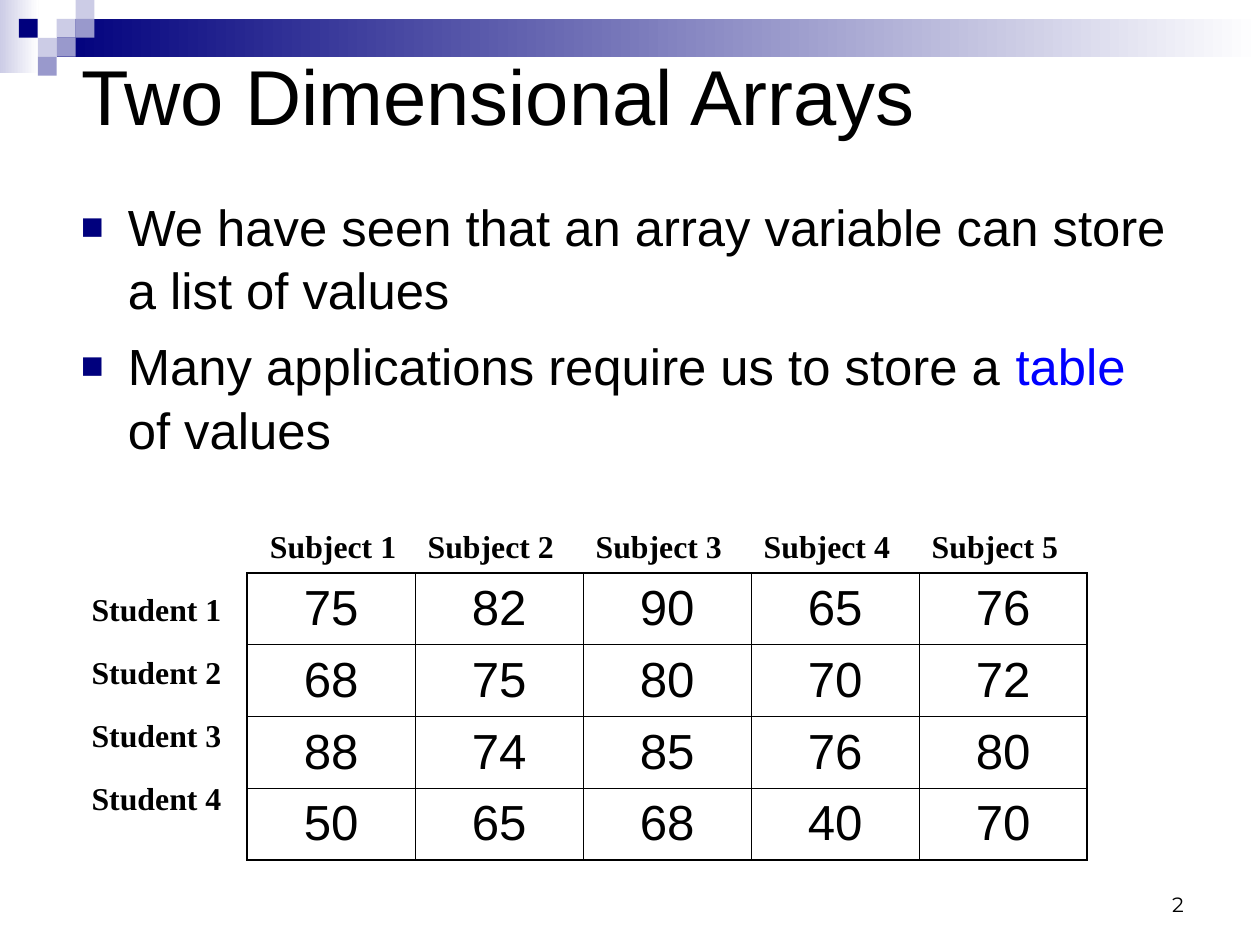
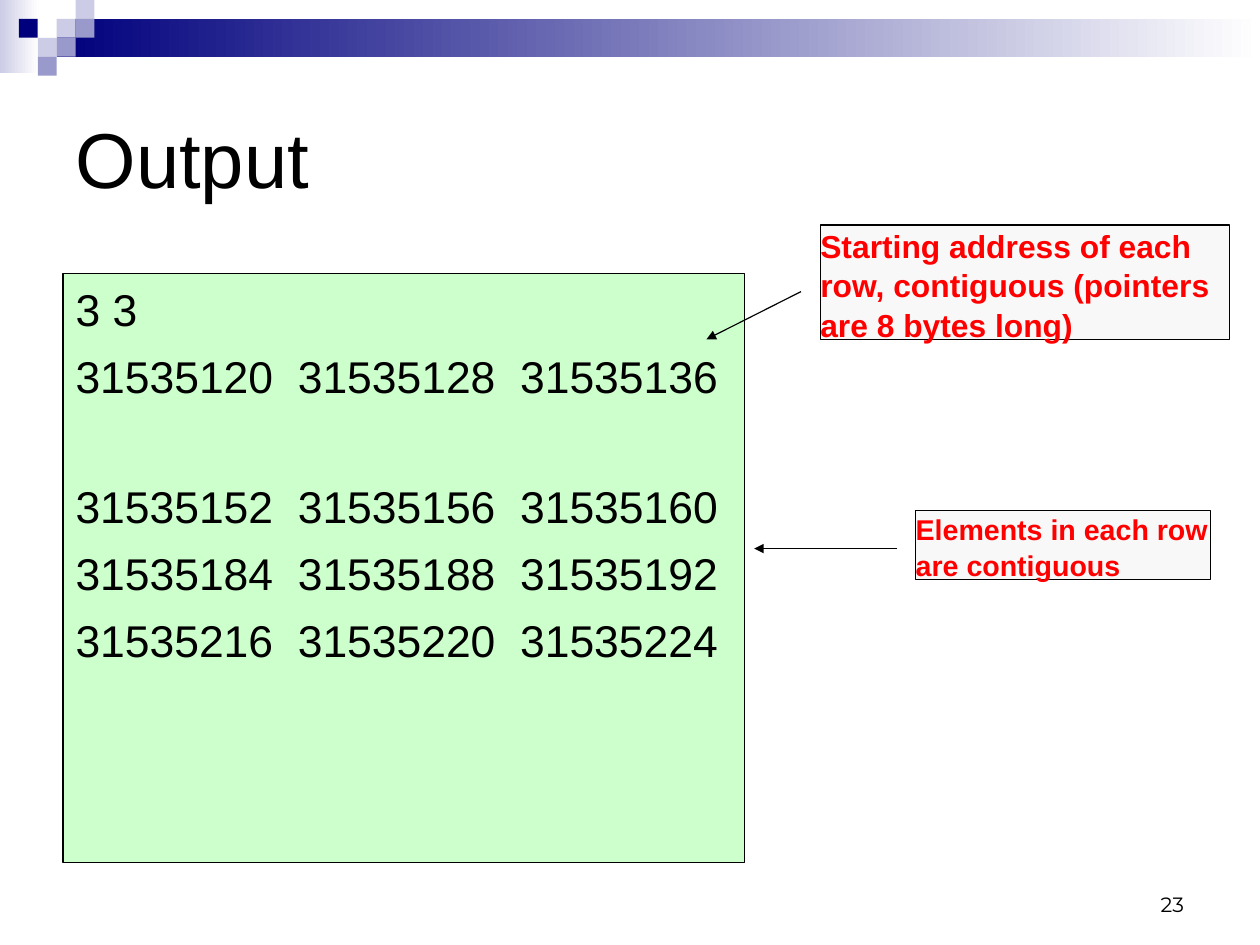
from dataclasses import dataclass

from lxml import etree
from pptx import Presentation
from pptx import util as u
from pptx.dml.color import RGBColor
from pptx.enum import shapes, text
from pptx.oxml import ns

Cm, Pt = u.Cm, u.Pt


@dataclass(frozen=True)
class Theme:
    """Colours, fonts, sizes and insets shared by the slides."""
    navy: str = "00007D"
    violet: str = "9999CC"
    lilac: str = "CCCCE6"
    white: str = "FFFFFF"
    black: str = "000000"
    blue: str = "0000FF"
    red: str = "FF0000"
    green: str = "CCFFCC"
    grey: str = "F8F8F8"
    sans: str = "Arial"
    serif: str = "Times New Roman"
    number: str = "Montserrat"
    title_size: float = 49
    body_size: float = 32
    cell_size: float = 31
    output_size: float = 28
    label_size: float = 20
    note_size: float = 18
    number_size: float = 13
    leading: float = 1.04
    line: float = 0.75
    outer_border: float = 1.08
    inner_border: float = 0.45
    inset: tuple = (0.28, 0.15)


THEME = Theme()


def rgb(colour):
    """Turn a hex string into a colour."""
    return RGBColor.from_string(colour)


def add_xml(parent, tag, **attributes):
    """Append a drawing element to its parent."""
    return etree.SubElement(parent, ns.qn(tag), attributes)


def place(item, box):
    """Move a shape to a box given in centimetres."""
    item.left, item.top, item.width, item.height = map(Cm, box)


def set_frame(frame, inset=THEME.inset, anchor=text.MSO_ANCHOR.TOP):
    """Set wrapping, insets and anchor of a text frame."""
    frame.word_wrap = True
    frame.auto_size = text.MSO_AUTO_SIZE.NONE
    frame.vertical_anchor = anchor
    frame.margin_left = frame.margin_right = Cm(inset[0])
    frame.margin_top = frame.margin_bottom = Cm(inset[1])


def add_span(para, words, size, colour=THEME.black, font=THEME.sans, bold=False):
    """Add one formatted run."""
    span = para.add_run()
    span.text = words
    span.font.size = Pt(size)
    span.font.name = font
    span.font.bold = bold
    span.font.color.rgb = rgb(colour)


def add_text(page, box, words, size, font, bold=False, align=text.PP_ALIGN.LEFT,
             anchor=text.MSO_ANCHOR.TOP):
    """Add a text box holding one line."""
    frame = page.shapes.add_textbox(*map(Cm, box)).text_frame
    set_frame(frame, anchor=anchor)
    para = frame.paragraphs[0]
    para.alignment = align
    add_span(para, words, size, font=font, bold=bold)


def add_rectangle(page, box, colour, fade=None, outlined=False):
    """Add a plain or fading rectangle."""
    shape = page.shapes.add_shape(shapes.MSO_SHAPE.RECTANGLE, *map(Cm, box))
    shape.shadow.inherit = False
    if fade:
        shape.fill.gradient()
        shape.fill.gradient_angle = 0
        for stop, shade in zip(shape.fill.gradient_stops, (colour, fade)):
            stop.color.rgb = rgb(shade)
    else:
        shape.fill.solid()
        shape.fill.fore_color.rgb = rgb(colour)
    if outlined:
        shape.line.color.rgb = rgb(THEME.black)
        shape.line.width = Pt(THEME.line)
    else:
        shape.line.fill.background()
    return shape


def decorate_layout(layout, page, unit=0.42):
    """Draw the header band and squares, then hand them to the layout."""
    squares = [(3, 1, THEME.lilac), (4, 0, THEME.lilac), (4, 1, THEME.violet),
               (2, 2, THEME.lilac), (1, 1, THEME.navy), (3, 2, THEME.violet),
               (2, 3, THEME.violet)]
    parts = [add_rectangle(page, (0, 0, 0.86, 1.63), THEME.lilac, THEME.white),
             add_rectangle(page, (3 * unit, unit, 28 - 3 * unit, 2 * unit),
                           THEME.navy, THEME.white)]
    parts += [add_rectangle(page, (column * unit, row * unit, unit, unit), colour)
              for column, row, colour in squares]
    for part in parts:
        layout.shapes.element.append(part.element)


def add_page(deck, layout, title, box, number):
    """Add a slide with its title and number."""
    page = deck.slides.add_slide(layout)
    heading = page.shapes.title
    place(heading, box)
    set_frame(heading.text_frame, anchor=text.MSO_ANCHOR.MIDDLE)
    para = heading.text_frame.paragraphs[0]
    para.alignment = text.PP_ALIGN.LEFT
    add_span(para, title, THEME.title_size)
    add_text(page, (20.06, 19.13, 6.53, 1.4), number, THEME.number_size, THEME.number,
             align=text.PP_ALIGN.RIGHT, anchor=text.MSO_ANCHOR.BOTTOM)
    return page


def add_bullets(page, box, items):
    """Add square-bulleted paragraphs made of (words, colour) spans."""
    frame = page.shapes.add_textbox(*map(Cm, box)).text_frame
    set_frame(frame)
    for index, spans in enumerate(items):
        para = frame.add_paragraph() if index else frame.paragraphs[0]
        para.space_before = Pt(8)
        para.line_spacing = THEME.leading
        for words, colour in spans:
            add_span(para, words, THEME.body_size, colour)
        settings = para._p.get_or_add_pPr()
        settings.set("marL", str(Cm(1.04)))
        settings.set("indent", str(-Cm(1.04)))
        add_xml(add_xml(settings, "a:buClr"), "a:srgbClr", val=THEME.navy)
        add_xml(settings, "a:buSzPct", val="75000")
        add_xml(settings, "a:buFont", typeface=THEME.sans)
        add_xml(settings, "a:buChar", char="■")


def set_borders(cell, widths):
    """Draw the left, right, top and bottom borders of a cell."""
    settings = cell._tc.get_or_add_tcPr()
    for index, (side, width) in enumerate(zip("LRTB", widths)):
        border = etree.Element(ns.qn(f"a:ln{side}"), w=str(Pt(width)))
        add_xml(add_xml(border, "a:solidFill"), "a:srgbClr", val=THEME.black)
        settings.insert(index, border)


def add_marks(page, box, marks):
    """Add the grid of marks with its row and column labels."""
    left, top, width, height = box
    rows, columns = len(marks), len(marks[0])
    pitch = width / columns
    table = page.shapes.add_table(rows, columns, *map(Cm, box)).table
    table.first_row = table.horz_banding = False
    for row, values in enumerate(marks):
        table.rows[row].height = Cm(height / rows)
        for column, value in enumerate(values):
            table.columns[column].width = Cm(pitch)
            cell = table.cell(row, column)
            cell.fill.background()
            cell.margin_left = cell.margin_right = Cm(0.28)
            cell.margin_top = cell.margin_bottom = Cm(0.13)
            para = cell.text_frame.paragraphs[0]
            para.alignment = text.PP_ALIGN.CENTER
            para.line_spacing = THEME.leading
            add_span(para, str(value), THEME.cell_size)
            edges = (column == 0, column == columns - 1, row == 0, row == rows - 1)
            set_borders(cell, [THEME.outer_border if edge else THEME.inner_border
                               for edge in edges])
    labels = [(f"Student {row + 1}", left - pitch, top + 0.23 + 1.4 * row)
              for row in range(rows)]
    labels += [(f"Subject {column + 1}", left + pitch * column + (0 if column else 0.23),
                top - 1.17) for column in range(columns)]
    for words, x, y in labels:
        add_text(page, (x, y, pitch, 1.12), words, THEME.label_size, THEME.serif, bold=True)


def add_output(page, box, groups, pitch=4.94):
    """Add the program output, groups of lines aligned at tab stops."""
    frame = add_rectangle(page, box, THEME.green, outlined=True).text_frame
    set_frame(frame)
    lines = [(line, group > 0 and index == 0) for group, block in enumerate(groups)
             for index, line in enumerate(block)]
    for index, (line, opens_group) in enumerate(lines):
        para = frame.add_paragraph() if index else frame.paragraphs[0]
        para.alignment = text.PP_ALIGN.LEFT
        para.space_before = Pt(47.5 if opens_group else 7)
        para.line_spacing = THEME.leading
        add_span(para, line, THEME.output_size)
        stops = add_xml(para._p.get_or_add_pPr(), "a:tabLst")
        for step in (1, 2):
            add_xml(stops, "a:tab", pos=str(Cm(pitch * step)), algn="l")


def add_callout(page, box, words, size, start, end):
    """Add a red note and its arrow."""
    frame = add_rectangle(page, box, THEME.grey, outlined=True).text_frame
    set_frame(frame, inset=(0, 0))
    para = frame.paragraphs[0]
    para.alignment = text.PP_ALIGN.LEFT
    para.line_spacing = THEME.leading
    add_span(para, words, size, THEME.red, bold=True)
    arrow = page.shapes.add_connector(shapes.MSO_CONNECTOR.STRAIGHT, *map(Cm, start + end))
    arrow.line.color.rgb = rgb(THEME.black)
    arrow.line.width = Pt(THEME.line)
    add_xml(arrow.line._get_or_add_ln(), "a:tailEnd", type="triangle")
    add_xml(arrow.element.spPr, "a:effectLst")


def build_arrays(deck, layout):
    """Build the slide that introduces tables of values."""
    page = add_page(deck, layout, "Two Dimensional Arrays", (1.52, 0, 25.2, 4.21), "2")
    add_bullets(page, (1.52, 4.14, 24.77, 7.42), [
        [("We have seen that an array variable can store a list of values", THEME.black)],
        [("Many applications require us to store a ", THEME.black),
         ("table", THEME.blue), (" of values", THEME.black)]])
    add_marks(page, (5.49, 12.73, 18.67, 6.38), [
        (75, 82, 90, 65, 76), (68, 75, 80, 70, 72),
        (88, 74, 85, 76, 80), (50, 65, 68, 40, 70)])
    return page


def build_output(deck, layout):
    """Build the slide that explains the printed addresses."""
    page = add_page(deck, layout, "Output", (1.4, 1.4, 25.2, 4.19), "23")
    add_output(page, (1.4, 6.07, 15.14, 13.1), [
        ["3 3", "31535120\t31535128\t31535136"],
        ["31535152\t31535156\t31535160", "31535184\t31535188\t31535192",
         "31535216\t31535220\t31535224"]])
    add_callout(page, (18.23, 5, 9.1, 2.54),
                "Starting address of each row, contiguous (pointers are 8 bytes long)",
                THEME.label_size, (17.8, 6.48), (15.7, 7.54))
    add_callout(page, (20.35, 11.35, 6.56, 1.53), "Elements in each row are contiguous",
                THEME.note_size, (19.94, 12.19), (16.76, 12.19))


def main():
    """Build and save the deck."""
    deck = Presentation()
    deck.slide_width, deck.slide_height = Cm(28), Cm(21)
    layout = deck.slide_layouts[5]
    decorate_layout(layout, build_arrays(deck, layout))
    build_output(deck, layout)
    deck.save("out.pptx")


if __name__ == "__main__":
    main()
